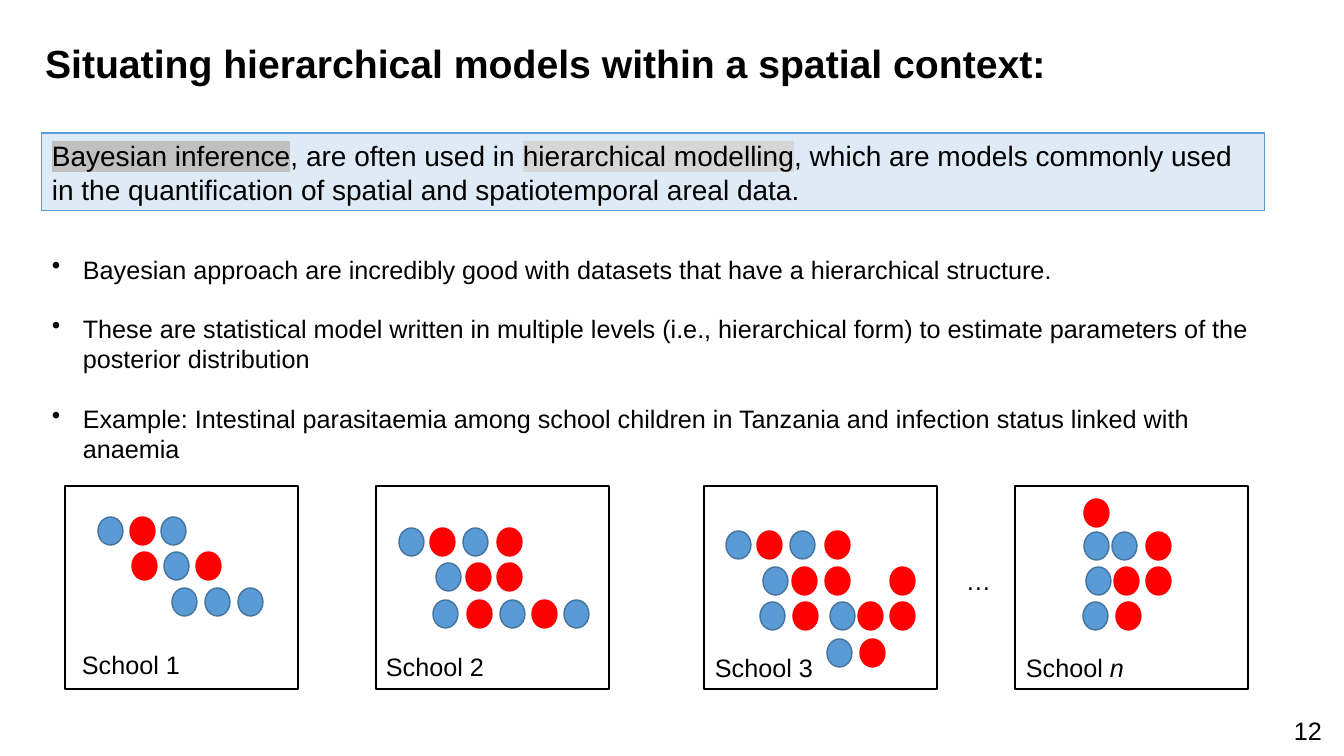
import pptx
import pptx.dml.color
import pptx.enum.shapes
import pptx.enum.text
import pptx.oxml
import pptx.oxml.ns
import pptx.util

# Content
TITLE = "Situating hierarchical models within a spatial context:"
STATEMENT = [  # text, highlight colour name
    ("Bayesian inference", "dark_highlight"),
    (", are often used in ", None),
    ("hierarchical modelling", "light_highlight"),
    (", which are models commonly used in the quantification of spatial "
     "and spatiotemporal areal data.", None),
]
BULLETS = [
    "Bayesian approach are incredibly good with datasets that have a hierarchical structure.",
    "These are statistical model written in multiple levels (i.e., hierarchical form) "
    "to estimate parameters of the posterior distribution",
    "Example: Intestinal parasitaemia among school children in Tanzania and infection "
    "status linked with anaemia",
]
# Each row of pupils: top, B (blue) or R (red) per pupil, left edges
SCHOOLS = [
    {"number": "1", "left": 65, "label": (72, 644), "rows": [
        (517, "BRB", (98, 130, 161)),
        (552, "RBR", (132, 164, 196)),
        (588, "BBB", (172, 205, 238))]},
    {"number": "2", "left": 376, "label": (376, 646), "rows": [
        (528, "BRBR", (399, 430, 463, 497)),
        (563, "BRR", (436, 466, 497)),
        (600, "BRBRB", (433, 467, 500, 532, 564))]},
    {"number": "3", "left": 704, "label": (705, 647), "rows": [
        (531, "BRBR", (726, 757, 790, 825)),
        (567, "BRRR", (763, 792, 825, 890)),
        (602, "BRBRR", (760, 793, 830, 858, 890)),
        (639, "BR", (827, 860))]},
    {"number": "n", "left": 1015, "label": (1016, 647), "rows": [
        (499, "R", (1084,)),
        (532, "BBR", (1084, 1112, 1146)),
        (567, "BRR", (1086, 1114, 1146)),
        (602, "BR", (1083, 1116))]},
]
COLOURS = {
    "black": "000000", "white": "FFFFFF", "panel": "DEEBF7",
    "blue": "5B9BD5", "blue_line": "43739E", "red": "FF0000",
    "dark_highlight": "C0C0C0", "light_highlight": "D6D6D6",
}
PUPIL_COLOURS = {"B": ("blue", "blue_line"), "R": ("red", "red")}
SHAPES = pptx.enum.shapes.MSO_SHAPE
ANCHOR = pptx.enum.text.MSO_ANCHOR
ALIGN = pptx.enum.text.PP_ALIGN


def px(length):
    return pptx.util.Emu(round(length * 914400 / 100.8))


def colour(name):
    return pptx.dml.color.RGBColor.from_string(COLOURS[name])


def format_paragraph(paragraph, size, bold=False):
    paragraph.alignment = ALIGN.LEFT
    font = paragraph.font
    font.name = "Arial"
    font.size = pptx.util.Pt(size)
    font.bold = bold
    font.color.rgb = colour("black")


def add_box(slide, preset, bounds, fill, line, width):
    shape = slide.shapes.add_shape(preset, *map(px, bounds))
    shape.shadow.inherit = False
    shape.fill.solid()
    shape.fill.fore_color.rgb = colour(fill)
    shape.line.color.rgb = colour(line)
    shape.line.width = pptx.util.Pt(width)
    return shape


def add_text(slide, bounds, text):
    frame = slide.shapes.add_textbox(*map(px, bounds)).text_frame
    frame.word_wrap = True
    paragraph = frame.paragraphs[0]
    paragraph.add_run().text = text
    format_paragraph(paragraph, 18)
    return frame


def add_highlight(run, name):
    highlight = pptx.oxml.parse_xml(
        f'<a:highlight {pptx.oxml.ns.nsdecls("a")}>'
        f'<a:srgbClr val="{COLOURS[name]}"/></a:highlight>')
    run.font.fill.solid()
    run.font.fill.fore_color.rgb = colour("black")
    run.font._element.append(highlight)


def add_bullet(paragraph):
    properties = paragraph._p.get_or_add_pPr()
    properties.set("marL", str(px(31)))
    properties.set("indent", str(-px(31)))
    properties.append(pptx.oxml.parse_xml(
        f'<a:buChar {pptx.oxml.ns.nsdecls("a")} char="•"/>'))


def main():
    presentation = pptx.Presentation()
    presentation.slide_width = px(1344)
    presentation.slide_height = px(756)
    slide = presentation.slides.add_slide(presentation.slide_layouts[5])

    # Title
    title = slide.shapes.title
    title.left, title.top, title.width, title.height = map(px, (35, 40, 1034, 72))
    title.text_frame.text = TITLE
    title.text_frame.vertical_anchor = ANCHOR.TOP
    title.text_frame.paragraphs[0].line_spacing = 0.9
    format_paragraph(title.text_frame.paragraphs[0], 28, bold=True)

    # Highlighted statement
    panel = add_box(slide, SHAPES.RECTANGLE, (42, 133, 1223, 78), "panel", "blue", 0.75)
    panel.text_frame.word_wrap = True
    paragraph = panel.text_frame.paragraphs[0]
    format_paragraph(paragraph, 20)
    for text, highlight in STATEMENT:
        run = paragraph.add_run()
        run.text = text
        if highlight:
            add_highlight(run, highlight)

    # Bullets
    frame = slide.shapes.add_textbox(*map(px, (42, 249, 1223, 194))).text_frame
    frame.word_wrap = True
    for index, text in enumerate(BULLETS):
        paragraph = frame.add_paragraph() if index else frame.paragraphs[0]
        paragraph.text = text
        add_bullet(paragraph)
        format_paragraph(paragraph, 18)
        if index:
            paragraph.space_before = pptx.util.Pt(21)

    # Schools and their pupils
    for school in SCHOOLS:
        add_box(slide, SHAPES.RECTANGLE, (school["left"], 486, 233, 203),
                "white", "black", 1)
        for top, pupils, lefts in school["rows"]:
            for pupil, left in zip(pupils, lefts):
                add_box(slide, SHAPES.OVAL, (left, top, 25, 28), *PUPIL_COLOURS[pupil], 1)
        label = add_text(slide, (*school["label"], 150, 40), "School ")
        number = label.paragraphs[0].add_run()
        number.text = school["number"]
        if school["number"] == "n":
            number.font.italic = True

    # Gap between schools and slide number
    add_text(slide, (956, 560, 73, 40), "…")
    add_text(slide, (1284, 710, 59, 16), "12")

    presentation.save("out.pptx")


if __name__ == "__main__":
    main()
